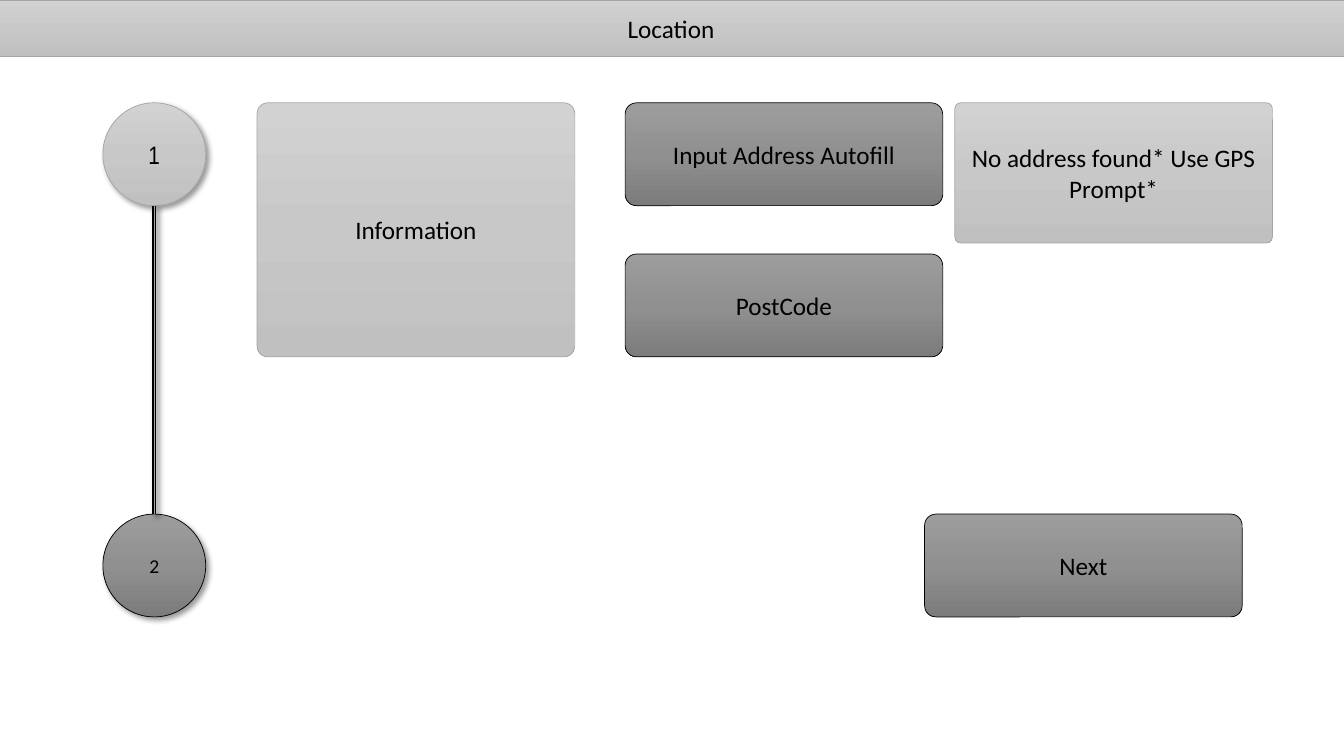
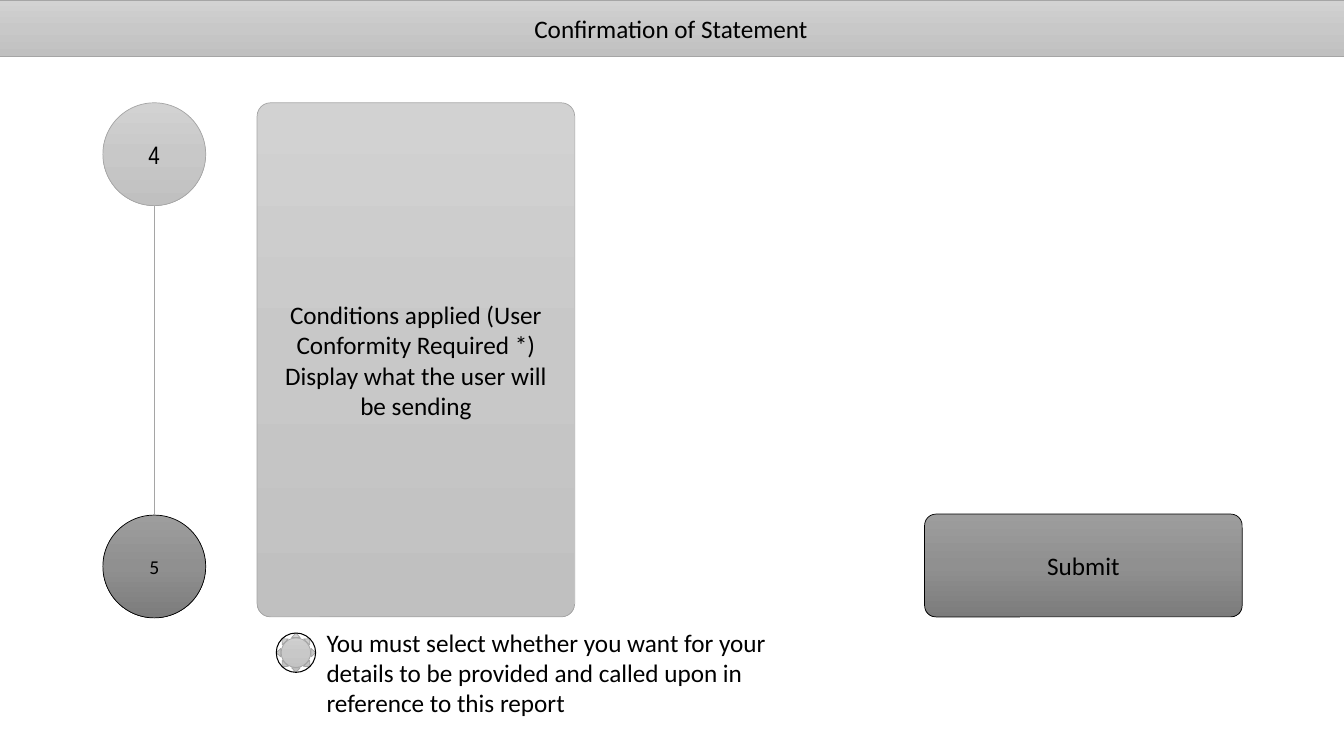
import copy
from dataclasses import dataclass

import pptx
import pptx.dml.color
import pptx.dml.fill
import pptx.enum.shapes
import pptx.enum.text
import pptx.oxml
import pptx.oxml.ns
import pptx.shapes.autoshape
import pptx.shapes.connector
import pptx.slide
import pptx.text.text
import pptx.util

Inches = pptx.util.Inches
Pt = pptx.util.Pt
Shape = pptx.enum.shapes.MSO_SHAPE
BLACK = "000000"
BODY_FONT = "Calibri"
STEP_LEFT = 1.02
STEP_SIZE = 1.02
TOP = 1.02
NEXT_TOP = 5.1
CARD_WIDTH = 3.15
SHADOW_XML = (
    '<a:outerShdw xmlns:a="http://schemas.openxmlformats.org/drawingml/2006/main" '
    'blurRad="50800" dist="38100" dir="2700000" algn="tl" rotWithShape="0">'
    '<a:srgbClr val="000000"><a:alpha val="40000"/></a:srgbClr></a:outerShdw>'
)


@dataclass(frozen=True)
class Tone:
    stops: tuple[str, str, str]
    outline: str
    corner: float


LIGHT = Tone(("D2D2D2", "C8C8C8", "C0C0C0"), "A5A5A5", 0.042)
DARK = Tone(("9D9D9D", "909090", "7C7C7C"), BLACK, 0.11)


@dataclass(frozen=True)
class Step:
    label: str
    top: float
    tone: Tone
    size: int
    font: str = BODY_FONT


@dataclass(frozen=True)
class Card:
    lines: tuple[str, ...]
    left: float
    top: float
    height: float
    tone: Tone


@dataclass(frozen=True)
class Screen:
    title: str
    steps: tuple[Step, ...]
    cards: tuple[Card, ...]
    raised: bool = False


SCREENS = (
    Screen(
        "Location",
        (Step("1", TOP, LIGHT, 18, "Arial Narrow"), Step("2", NEXT_TOP, DARK, 14)),
        (
            Card(("Information",), 2.55, TOP, 2.52, LIGHT),
            Card(("Next",), 9.17, NEXT_TOP, 1.02, DARK),
            Card(("Input Address Autofill",), 6.2, TOP, 1.02, DARK),
            Card(("No address found* Use GPS Prompt*",), 9.47, TOP, 1.39, LIGHT),
            Card(("PostCode",), 6.2, 2.52, 1.02, DARK),
        ),
        raised=True,
    ),
    Screen(
        "Confirmation of Statement",
        (Step("4", TOP, LIGHT, 18, "Arial Narrow"), Step("5", 5.11, DARK, 14)),
        (
            Card(
                (
                    "Conditions applied (User Conformity Required *)",
                    "Display what the user will be sending",
                ),
                2.55, TOP, 5.1, LIGHT,
            ),
            Card(("Submit",), 9.17, NEXT_TOP, 1.02, DARK),
        ),
    ),
)
CONSENT = (
    "You must select whether you want for your details to be provided "
    "and called upon in reference to this report"
)


def rgb(value: str) -> pptx.dml.color.RGBColor:
    return pptx.dml.color.RGBColor.from_string(value)


def paint(shape: pptx.shapes.autoshape.Shape, tone: Tone) -> None:
    shape.fill.gradient()
    shape.fill.gradient_angle = 270
    stop_list = shape._element.spPr.find(".//" + pptx.oxml.ns.qn("a:gsLst"))
    stop_list.append(copy.deepcopy(stop_list[-1]))
    for index, (stop, value) in enumerate(zip(shape.fill.gradient_stops, tone.stops)):
        stop.position = index / 2
        stop.color.rgb = rgb(value)
    shape.line.color.rgb = rgb(tone.outline)
    shape.line.width = Pt(0.5)


def write(
    frame: pptx.text.text.TextFrame,
    lines: tuple[str, ...],
    size: int = 18,
    font: str = BODY_FONT,
    centred: bool = True,
) -> None:
    frame.word_wrap = True
    frame.text = "\n".join(lines)
    if centred:
        frame.vertical_anchor = pptx.enum.text.MSO_ANCHOR.MIDDLE
    for paragraph in frame.paragraphs:
        paragraph.font.size = Pt(size)
        paragraph.font.name = font
        paragraph.font.color.rgb = rgb(BLACK)
        if centred:
            paragraph.alignment = pptx.enum.text.PP_ALIGN.CENTER


def add_shape(
    slide: pptx.slide.Slide,
    kind: Shape,
    left: float,
    top: float,
    width: float,
    height: float,
) -> pptx.shapes.autoshape.Shape:
    shape = slide.shapes.add_shape(
        kind, Inches(left), Inches(top), Inches(width), Inches(height)
    )
    shape.shadow.inherit = False
    return shape


def add_effects(
    shape: pptx.shapes.autoshape.Shape | pptx.shapes.connector.Connector,
    raised: bool,
) -> None:
    properties = shape._element.spPr
    tag = pptx.oxml.ns.qn("a:effectLst")
    effects = properties.find(tag)
    if effects is None:
        effects = properties.makeelement(tag, {})
        properties.append(effects)
    if raised:
        effects.append(pptx.oxml.parse_xml(SHADOW_XML))


def add_title(slide: pptx.slide.Slide, text: str) -> None:
    title = slide.shapes.title
    title.left, title.top = Inches(-0.02), Inches(0)
    title.width, title.height = Inches(13.35), Inches(0.56)
    paint(title, LIGHT)
    write(title.text_frame, (text,))
    title.text_frame.auto_size = pptx.enum.text.MSO_AUTO_SIZE.NONE


def add_step(slide: pptx.slide.Slide, step: Step, raised: bool) -> None:
    circle = add_shape(slide, Shape.OVAL, STEP_LEFT, step.top, STEP_SIZE, STEP_SIZE)
    paint(circle, step.tone)
    add_effects(circle, raised)
    write(circle.text_frame, (step.label,), step.size, step.font)


def add_step_link(
    slide: pptx.slide.Slide, colour: str, width: float, raised: bool = False
) -> None:
    middle = Inches(STEP_LEFT + STEP_SIZE / 2)
    link = slide.shapes.add_connector(
        pptx.enum.shapes.MSO_CONNECTOR.STRAIGHT,
        middle, Inches(TOP + STEP_SIZE), middle, Inches(NEXT_TOP),
    )
    link.line.color.rgb = rgb(colour)
    link.line.width = Pt(width)
    add_effects(link, raised)


def add_card(slide: pptx.slide.Slide, card: Card) -> None:
    box = add_shape(
        slide, Shape.ROUNDED_RECTANGLE, card.left, card.top, CARD_WIDTH, card.height
    )
    box.adjustments[0] = card.tone.corner
    paint(box, card.tone)
    write(box.text_frame, card.lines)


def add_consent(slide: pptx.slide.Slide) -> None:
    marker = (2.74, 6.28, 0.39, 0.39)
    selection = add_shape(slide, Shape.SUN, *marker)
    selection.adjustments[0] = 0.125
    paint(selection, LIGHT)
    ring = add_shape(slide, Shape.OVAL, *marker)
    ring.fill.background()
    ring.line.color.rgb = rgb(BLACK)
    ring.line.width = Pt(0.75)
    statement = slide.shapes.add_textbox(
        Inches(3.14), Inches(6.17), Inches(4.61), Inches(1.01)
    )
    write(statement.text_frame, (CONSENT,), centred=False)


def add_screen(
    deck: pptx.presentation.Presentation, screen: Screen
) -> pptx.slide.Slide:
    slide = deck.slides.add_slide(deck.slide_layouts[5])
    add_title(slide, screen.title)
    for step in screen.steps:
        add_step(slide, step, screen.raised)
    if screen.raised:
        add_step_link(slide, BLACK, 3, raised=True)
    add_step_link(slide, LIGHT.outline, 0.5)
    for card in screen.cards:
        add_card(slide, card)
    return slide


def main() -> None:
    deck = pptx.Presentation()
    deck.slide_width, deck.slide_height = Inches(13.33), Inches(7.5)
    location, confirmation = [add_screen(deck, screen) for screen in SCREENS]
    add_consent(confirmation)
    deck.save("out.pptx")


if __name__ == "__main__":
    main()
